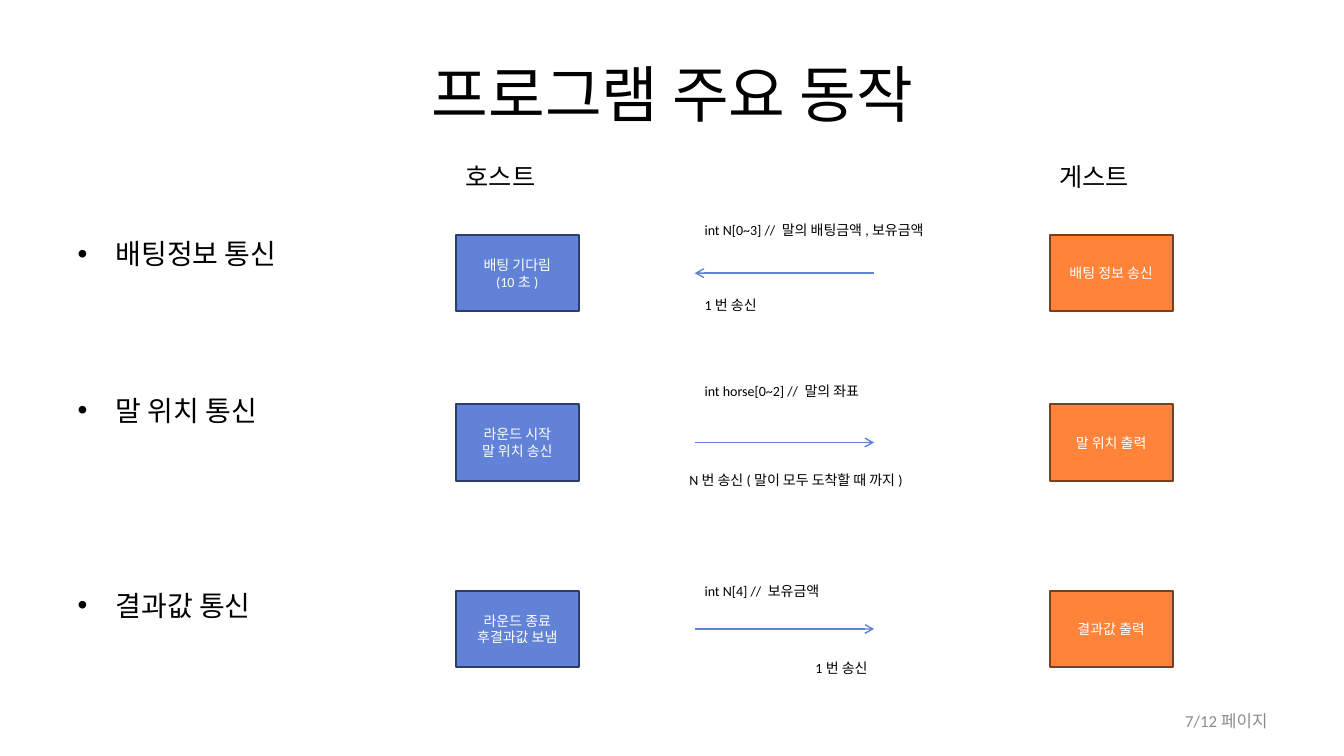
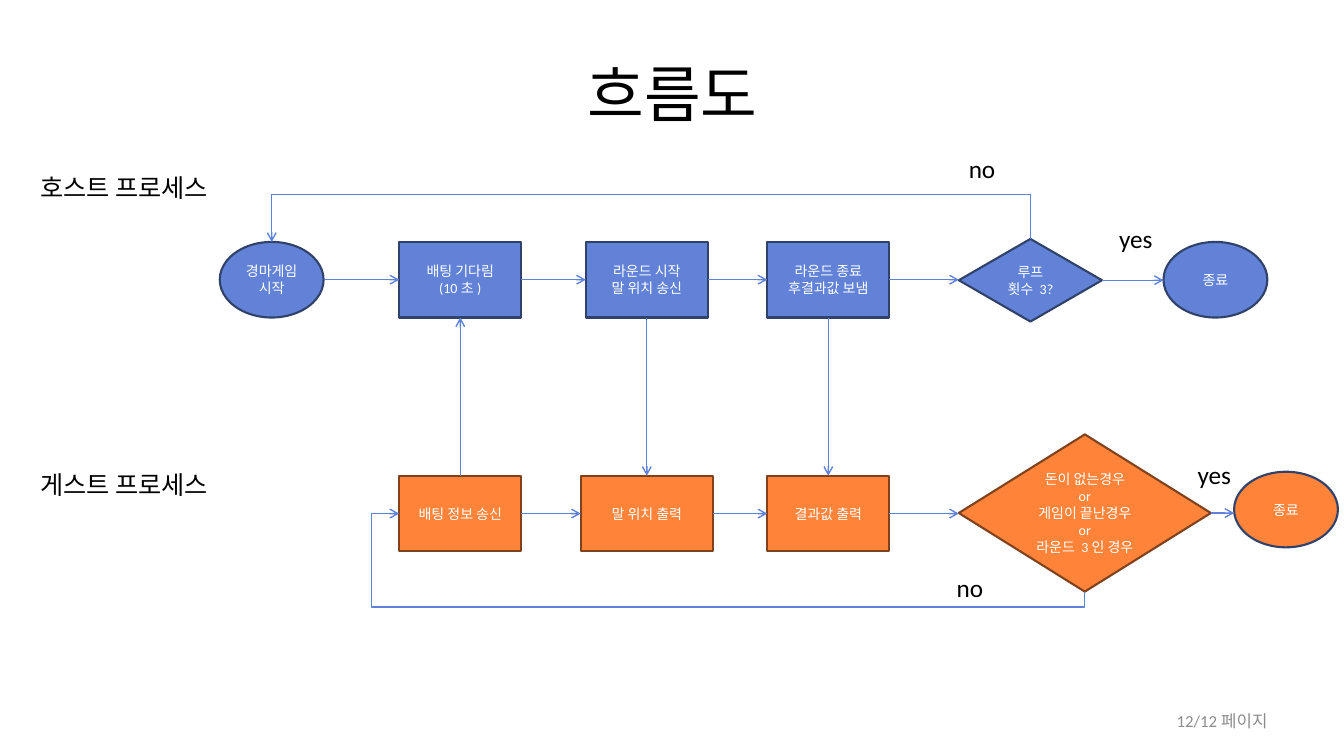
from dataclasses import dataclass

from lxml import etree
from pptx import Presentation
from pptx.dml.color import RGBColor
from pptx.enum.shapes import MSO_CONNECTOR, MSO_SHAPE
from pptx.enum.text import MSO_ANCHOR, PP_ALIGN
from pptx.oxml.ns import qn
from pptx.util import Inches, Pt

STRAIGHT, ELBOW = MSO_CONNECTOR.STRAIGHT, MSO_CONNECTOR.ELBOW
RECTANGLE, OVAL = MSO_SHAPE.RECTANGLE, MSO_SHAPE.OVAL
DECISION = MSO_SHAPE.FLOWCHART_DECISION
LEFT, CENTER, RIGHT = PP_ALIGN.LEFT, PP_ALIGN.CENTER, PP_ALIGN.RIGHT
TOP, MIDDLE = MSO_ANCHOR.TOP, MSO_ANCHOR.MIDDLE
# Connection sites of a shape
TOP_SITE, LEFT_SITE, BOTTOM_SITE = 0, 1, 2

TITLE_LAYOUT, LIST_LAYOUT = 5, 1


@dataclass(frozen=True)
class Theme:
    """Colours, font and type sizes of the deck."""
    font: str = "Calibri"
    ink: str = "000000"
    paper: str = "FFFFFF"
    muted: str = "8C8C8C"
    arrow: str = "5E81D9"
    host: str = "6182D6"
    guest: str = "FF843A"
    host_edge: str = "2E3E67"
    guest_edge: str = "7A3F1C"
    flow_host_edge: str = "30416A"
    flow_guest_edge: str = "7F421D"
    title_size: int = 44
    list_size: int = 20
    heading_size: int = 18
    footer_size: int = 12
    label_size: int = 10


class SlideBuilder:
    """Holds the style and the current slide."""

    def __init__(self, deck, theme):
        """Remember the deck and its theme."""
        self.deck = deck
        self.theme = theme
        self.page = None

    def new_page(self, title, number, layout):
        """Start a slide with its title and page number."""
        self.page = self.deck.slides.add_slide(self.deck.slide_layouts[layout])
        heading = self.page.shapes.title
        self.place(heading, 0.67, 0.3, 12, 1.25)
        self.set_text(heading.text_frame, [title], size=self.theme.title_size,
                      align=CENTER, anchor=MIDDLE)
        self.label(f"{number}/12페이지", 9.56, 6.95, 3.11, 0.4,
                   size=self.theme.footer_size, color=self.theme.muted,
                   align=RIGHT, anchor=MIDDLE)

    def place(self, shape, left, top, width, height):
        """Move and size a shape, in inches."""
        shape.left, shape.top = Inches(left), Inches(top)
        shape.width, shape.height = Inches(width), Inches(height)

    def set_text(self, frame, lines, size, color=None, align=LEFT, anchor=TOP):
        """Fill a text frame with one paragraph per line."""
        frame.word_wrap = True
        frame.vertical_anchor = anchor
        for index, line in enumerate(lines):
            para = frame.add_paragraph() if index else frame.paragraphs[0]
            para.alignment = align
            span = para.add_run()
            span.text = line
            span.font.name = self.theme.font
            span.font.size = Pt(size)
            span.font.color.rgb = RGBColor.from_string(color or self.theme.ink)

    def bullets(self, lines, gaps):
        """Fill the body placeholder, with a gap in points above each line."""
        body = self.page.placeholders[1]
        self.place(body, 0.67, 1.91, 12, 4.95)
        frame = body.text_frame
        frame.margin_top = Inches(0.44)
        self.set_text(frame, lines, size=self.theme.list_size)
        for para, gap in zip(frame.paragraphs, gaps):
            para.space_before = Pt(gap)

    def label(self, text, left, top, width, height=0.27, size=None, **style):
        """Add a line of text without a frame."""
        box = self.page.shapes.add_textbox(
            Inches(left), Inches(top), Inches(width), Inches(height))
        self.set_text(box.text_frame, [text], size or self.theme.label_size, **style)

    def heading(self, text, left, top, width):
        """Add a larger label."""
        self.label(text, left, top, width, 0.4, size=self.theme.heading_size)

    def node(self, kind, lines, left, top, width, height, fill, edge):
        """Add a filled shape with centred white text."""
        shape = self.page.shapes.add_shape(
            kind, Inches(left), Inches(top), Inches(width), Inches(height))
        shape.shadow.inherit = False
        shape.fill.solid()
        shape.fill.fore_color.rgb = RGBColor.from_string(fill)
        shape.line.color.rgb = RGBColor.from_string(edge)
        shape.line.width = Pt(1.5)
        self.set_text(shape.text_frame, lines, self.theme.label_size,
                      color=self.theme.paper, align=CENTER, anchor=MIDDLE)
        return shape

    def style_arrow(self, link):
        """Give a connector its line, arrowhead and no shadow."""
        link.line.color.rgb = RGBColor.from_string(self.theme.arrow)
        link.line.width = Pt(1)
        properties = link.element.spPr
        outline = properties.find(qn("a:ln"))
        etree.SubElement(outline, qn("a:tailEnd"), type="arrow")
        etree.SubElement(properties, qn("a:effectLst"))

    def arrow(self, start, end):
        """Draw a straight arrow between two points."""
        link = self.page.shapes.add_connector(STRAIGHT, *start, *end)
        self.style_arrow(link)

    def arrow_right(self, source, target):
        """Draw a level arrow from one shape to the next."""
        middle = source.top + source.height // 2
        self.arrow((source.left + source.width, middle), (target.left, middle))

    def arrow_between_rows(self, source, target):
        """Draw an upright arrow between shapes of two rows."""
        center = source.left + source.width // 2
        if source.top < target.top:
            self.arrow((center, source.top + source.height), (center, target.top))
        else:
            self.arrow((center, source.top), (center, target.top + target.height))

    def loop_back(self, source, source_site, target, target_site, turn_y, turn_x=None):
        """Draw an elbow that leaves upright and returns to an earlier shape."""
        link = self.page.shapes.add_connector(ELBOW, 0, 0, 0, 0)
        link.begin_connect(source, source_site)
        link.end_connect(target, target_site)
        start_x, start_y = link.begin_x, link.begin_y
        end_x, end_y = link.end_x, link.end_y
        ratios = [(Inches(turn_y) - start_y) / (end_y - start_y)]
        if turn_x is not None:
            ratios.append((Inches(turn_x) - start_x) / (end_x - start_x))

        # A quarter turn swaps the two spans around the common centre.
        center_x, center_y = (start_x + end_x) // 2, (start_y + end_y) // 2
        half_rise, half_run = (end_y - start_y) // 2, abs(end_x - start_x) // 2
        link.begin_x, link.end_x = center_x - half_rise, center_x + half_rise
        link.begin_y, link.end_y = center_y - half_run, center_y + half_run
        link.rotation = 90

        geometry = link.element.spPr.find(qn("a:prstGeom"))
        geometry.set("prst", f"bentConnector{len(ratios) + 2}")
        guides = geometry.find(qn("a:avLst"))
        for index, ratio in enumerate(ratios, 1):
            etree.SubElement(guides, qn("a:gd"), name=f"adj{index}",
                             fmla=f"val {round(ratio * 100000)}")
        self.style_arrow(link)


WAIT = ["배팅 기다림", "(10초)"]
START_ROUND = ["라운드 시작", "말 위치 송신"]
END_ROUND = ["라운드 종료 후결과값 보냄"]
SEND_BET = ["배팅 정보 송신"]
SHOW_HORSE = ["말 위치 출력"]
SHOW_RESULT = ["결과값 출력"]


def build_messages(builder):
    """Build the slide on the messages between host and guest."""
    theme = builder.theme
    builder.new_page("프로그램 주요 동작", 7, LIST_LAYOUT)
    builder.bullets(["배팅정보 통신", "말 위치 통신", "결과값 통신"], [0, 87.6, 115.6])

    host_left, guest_left, width, height = 4.52, 10.41, 1.22, 0.76
    builder.heading("호스트", host_left, 1.55, 1.65)
    builder.heading("게스트", guest_left, 1.55, 1.65)

    arrow_left, arrow_right = 6.89, 8.67
    exchanges = [
        (2.33, WAIT, SEND_BET, True),
        (4.01, START_ROUND, SHOW_HORSE, False),
        (5.86, END_ROUND, SHOW_RESULT, False),
    ]
    for top, host_text, guest_text, to_host in exchanges:
        builder.node(RECTANGLE, host_text, host_left, top, width, height,
                     theme.host, theme.host_edge)
        builder.node(RECTANGLE, guest_text, guest_left, top, width, height,
                     theme.guest, theme.guest_edge)
        middle = Inches(top + height / 2)
        ends = [(Inches(x), middle) for x in (arrow_left, arrow_right)]
        if to_host:
            ends.reverse()
        builder.arrow(*ends)

    notes = [
        ("int N[0~3] // 말의 배팅금액,보유금액", 6.89, 2.15, LEFT),
        ("1번 송신", 6.89, 2.89, LEFT),
        ("int horse[0~2] // 말의 좌표", 6.89, 3.75, LEFT),
        ("N번 송신(말이 모두 도착할 때 까지)", 6.39, 4.63, RIGHT),
        ("int N[4] // 보유금액", 6.89, 5.73, LEFT),
        ("1번 송신", 7.99, 6.49, LEFT),
    ]
    for text, left, top, align in notes:
        builder.label(text, left, top, 2.66, align=align)


def build_flowchart(builder):
    """Build the flowchart of the host and guest processes."""
    theme = builder.theme
    builder.new_page("흐름도", 12, TITLE_LAYOUT)

    host_top, guest_top, height = 2.4, 4.72, 0.75
    host_steps = [
        (OVAL, ["경마게임 시작"], 2.18, host_top, 1.03, height),
        (RECTANGLE, WAIT, 3.96, host_top, 1.21, height),
        (RECTANGLE, START_ROUND, 5.81, host_top, 1.21, height),
        (RECTANGLE, END_ROUND, 7.61, host_top, 1.21, height),
        (DECISION, ["루프", "횟수 3?"], 9.51, 2.37, 1.42, 0.82),
        (OVAL, ["종료"], 11.54, host_top, 1.03, height),
    ]
    guest_end = ["돈이 없는경우", "or", "게임이 끝난경우", "or", "라운드 3인 경우"]
    guest_steps = [
        (RECTANGLE, SEND_BET, 3.96, guest_top, 1.21, height),
        (RECTANGLE, SHOW_HORSE, 5.76, guest_top, 1.31, height),
        (RECTANGLE, SHOW_RESULT, 7.61, guest_top, 1.21, height),
        (DECISION, guest_end, 9.51, 4.31, 2.5, 1.56),
        (OVAL, ["종료"], 12.24, 4.68, 1.03, height),
    ]
    host = [builder.node(*step, theme.host, theme.flow_host_edge)
            for step in host_steps]
    guest = [builder.node(*step, theme.guest,
                          theme.flow_host_edge if step[0] == OVAL
                          else theme.flow_guest_edge)
             for step in guest_steps]

    for row in (host, guest):
        for source, target in zip(row, row[1:]):
            builder.arrow_right(source, target)
    start, wait, start_round, end_round, host_check = host[:5]
    send_bet, show_horse, show_result, guest_check = guest[:4]
    for source, target in ((send_bet, wait), (start_round, show_horse),
                           (end_round, show_result)):
        builder.arrow_between_rows(source, target)
    builder.loop_back(host_check, TOP_SITE, start, TOP_SITE, 1.93)
    builder.loop_back(guest_check, BOTTOM_SITE, send_bet, LEFT_SITE, 6.02, 3.69)

    for text, left, top, width in (
            ("호스트 프로세스", 0.3, 1.66, 2.05),
            ("게스트 프로세스", 0.3, 4.61, 2.05),
            ("no", 9.51, 1.47, 0.48),
            ("yes", 11, 2.17, 0.68),
            ("yes", 11.78, 4.51, 0.68),
            ("no", 9.39, 5.63, 0.48)):
        builder.heading(text, left, top, width)


def main():
    """Build both slides and save the deck."""
    deck = Presentation()
    deck.slide_width, deck.slide_height = Inches(13.33), Inches(7.5)
    builder = SlideBuilder(deck, Theme())
    build_messages(builder)
    build_flowchart(builder)
    deck.save("out.pptx")


main()
